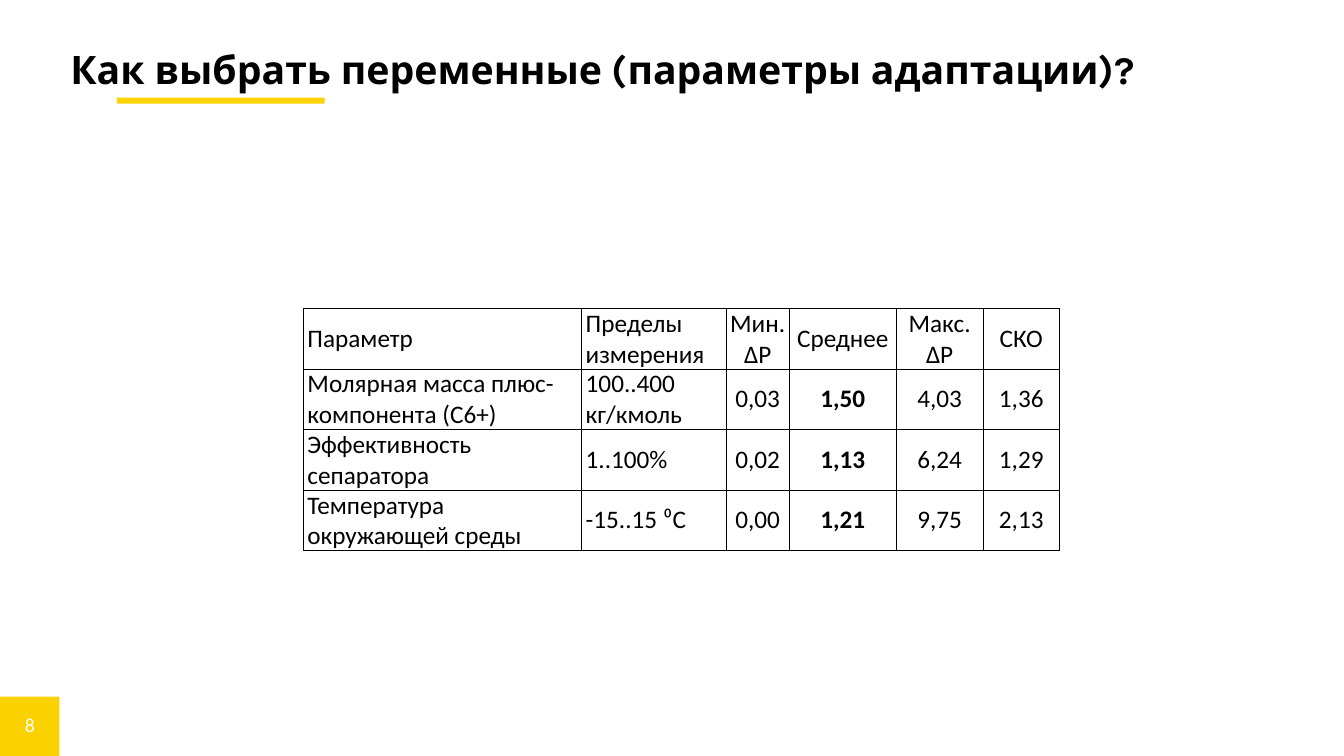
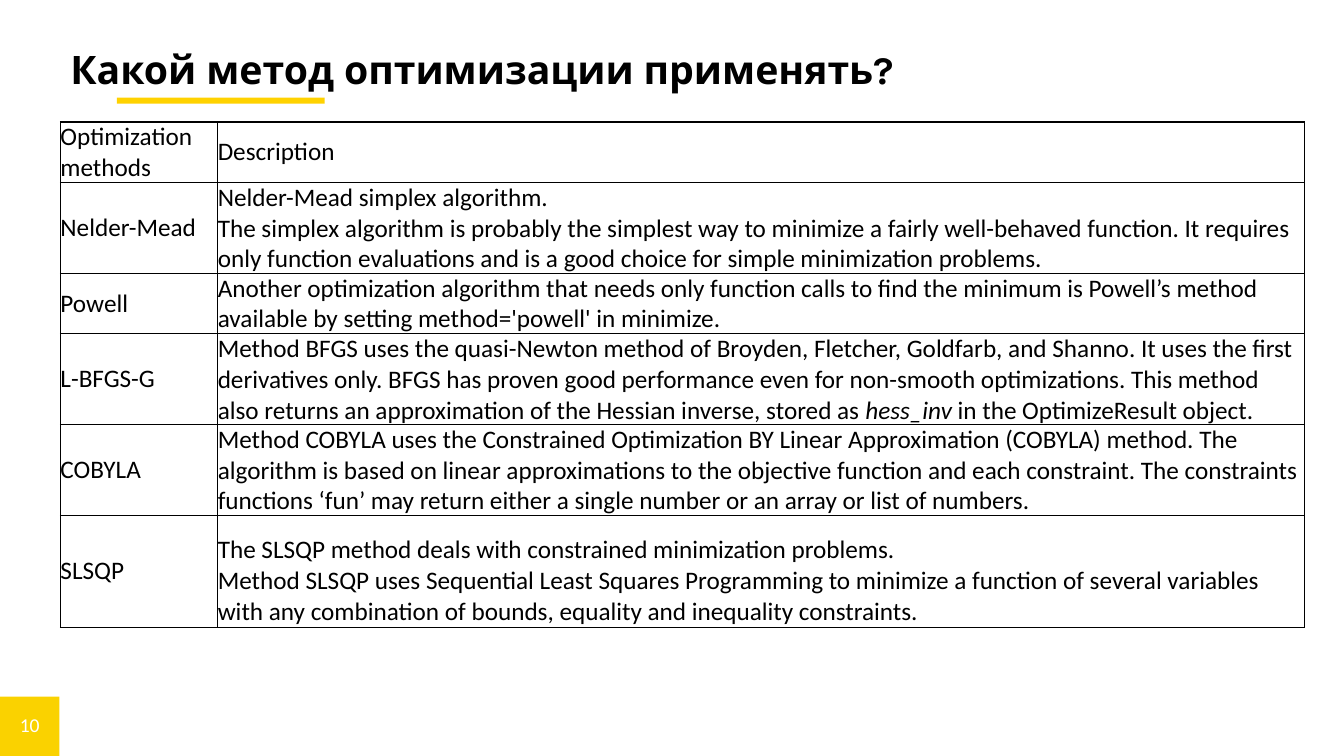
from itertools import accumulate
from lxml.etree import SubElement
from pptx import Presentation
from pptx.dml.color import RGBColor
from pptx.enum.shapes import MSO_SHAPE
from pptx.enum.text import MSO_ANCHOR, PP_ALIGN
from pptx.oxml.ns import qn
from pptx.util import Pt

SCALE = 9144  # EMU in one px, 100 px to the inch
WIDE, HIGH = 1333, 750
BLACK = RGBColor(0x00, 0x00, 0x00)
WHITE = RGBColor(0xFF, 0xFF, 0xFF)
GOLD = RGBColor(0xFF, 0xD2, 0x00)
AMBER = RGBColor(0xFA, 0xD2, 0x00)
BODY, HEAD = "Calibri", "Karla"

PARAMS = [
    ["Параметр", "Пределы измерения", "Мин. ∆P", "Среднее", "Макс. ∆P", "СКО"],
    ["Молярная масса плюс-компонента (С6+)", "100..400 кг/кмоль",
     "0,03", "1,50", "4,03", "1,36"],
    ["Эффективность сепаратора", "1..100%", "0,02", "1,13", "6,24", "1,29"],
    ["Температура окружающей среды", "-15..15 ⁰C",
     "0,00", "1,21", "9,75", "2,13"],
]
# Text between asterisks is italic
METHODS = [
    ["Optimization methods", "Description"],
    ["Nelder-Mead",
     "Nelder-Mead simplex algorithm.\n"
     "The simplex algorithm is probably the simplest way to minimize a fairly "
     "well-behaved function. It requires only function evaluations and is a "
     "good choice for simple minimization problems."],
    ["Powell",
     "Another optimization algorithm that needs only function calls to find "
     "the minimum is Powell’s method available by setting method='powell' in "
     "minimize."],
    ["L-BFGS-G",
     "Method BFGS uses the quasi-Newton method of Broyden, Fletcher, Goldfarb, "
     "and Shanno. It uses the first derivatives only. BFGS has proven good "
     "performance even for non-smooth optimizations. This method also returns "
     "an approximation of the Hessian inverse, stored as *hess_inv* in the "
     "OptimizeResult object."],
    ["COBYLA",
     "Method COBYLA uses the Constrained Optimization BY Linear Approximation "
     "(COBYLA) method. The algorithm is based on linear approximations to the "
     "objective function and each constraint. The constraints functions ‘fun’ "
     "may return either a single number or an array or list of numbers."],
    ["SLSQP",
     "The SLSQP method deals with constrained minimization problems.\n"
     "Method SLSQP uses Sequential Least Squares Programming to minimize a "
     "function of several variables with any combination of bounds, equality "
     "and inequality constraints."],
]


def px(*nums):
    return [num * SCALE for num in nums]


def style(para, size, face, color, bold=False, align=PP_ALIGN.LEFT):
    para.alignment = align
    font = para.font
    font.size, font.name, font.bold = Pt(size), face, bold
    font.color.rgb = color


def block(slide, box, color):
    shape = slide.shapes.add_shape(MSO_SHAPE.RECTANGLE, *px(*box))
    shape.shadow.inherit = False
    shape.fill.solid()
    shape.fill.fore_color.rgb = color
    shape.line.fill.background()


def label(slide, box, text, *look, **more):
    frame = slide.shapes.add_textbox(*px(*box)).text_frame
    frame.word_wrap = True
    para = frame.paragraphs[0]
    para.text = text
    style(para, *look, **more)


def header(slide, box, text):
    left, top, wide, high = box
    block(slide, (left + 56, top + high, 206, 6), GOLD)
    label(slide, box, text, 28, HEAD, BLACK, bold=True)


def footer(slide, box, number):
    left, top, wide, high = box
    block(slide, box, AMBER)
    label(slide, (left + 4, top + 11, wide - 8, 40), number, 14, BODY, WHITE,
          align=PP_ALIGN.CENTER)


def border(cell, width):
    props = cell._tc.get_or_add_tcPr()
    for side in ("lnL", "lnR", "lnT", "lnB"):
        line = SubElement(props, qn("a:" + side), w=str(Pt(width)))
        fill = SubElement(line, qn("a:solidFill"))
        SubElement(fill, qn("a:srgbClr"), val=str(BLACK))


def write(para, text):
    for row, line in enumerate(text.split("\n")):
        if row:
            para.add_line_break()
        for part, words in enumerate(line.split("*")):
            run = para.add_run()
            run.text = words
            if part % 2:
                run.font.italic = True


def grid(slide, spot, cols, rows, data, width, dress):
    """Draw a ruled table; dress(cell, row, col) returns paragraph options."""
    size = list(accumulate(cols))[-1], list(accumulate(rows))[-1]
    table = slide.shapes.add_table(
        len(rows), len(cols), *px(*spot, *size)).table
    table.first_row = table.horz_banding = False
    for col, wide in zip(table.columns, px(*cols)):
        col.width = wide
    for row, high in zip(table.rows, px(*rows)):
        row.height = high
    for row, line in enumerate(data):
        for col, text in enumerate(line):
            cell = table.cell(row, col)
            border(cell, width)
            cell.fill.background()
            cell.margin_left = cell.margin_right = 0
            cell.margin_top = cell.margin_bottom = 0
            cell.vertical_anchor = MSO_ANCHOR.MIDDLE
            para = cell.text_frame.paragraphs[0]
            write(para, text)
            style(para, 18, BODY, BLACK, **dress(cell, row, col))


def figures(cell, row, col):
    if col < 2:
        cell.margin_left = px(4)[0]
        return {}
    return {"align": PP_ALIGN.CENTER, "bold": row > 0 and col == 3}


def prose(cell, row, col):
    if row and col:
        cell.vertical_anchor = MSO_ANCHOR.BOTTOM
    return {}


def page(deck, title, number):
    slide = deck.slides.add_slide(deck.slide_layouts[6])
    footer(slide, (0, HIGH - 59, 59, 59), number)
    header(slide, (60, 40, 1234, 57), title)
    return slide


def main():
    deck = Presentation()
    deck.slide_width, deck.slide_height = px(WIDE, HIGH)

    # Parameter choice
    slide = page(deck, "Как выбрать переменные (параметры адаптации)?", "8")
    grid(slide, (301, 306), (276, 143, 63, 106, 86, 76), (60,) * 4,
         PARAMS, 0.5, figures)

    # Optimization methods
    slide = page(deck, "Какой метод оптимизации применять?", "10")
    grid(slide, (60, 121), (156, 1078), (60, 90, 60, 90, 90, 111),
         METHODS, 1, prose)

    deck.save("out.pptx")


if __name__ == "__main__":
    main()
